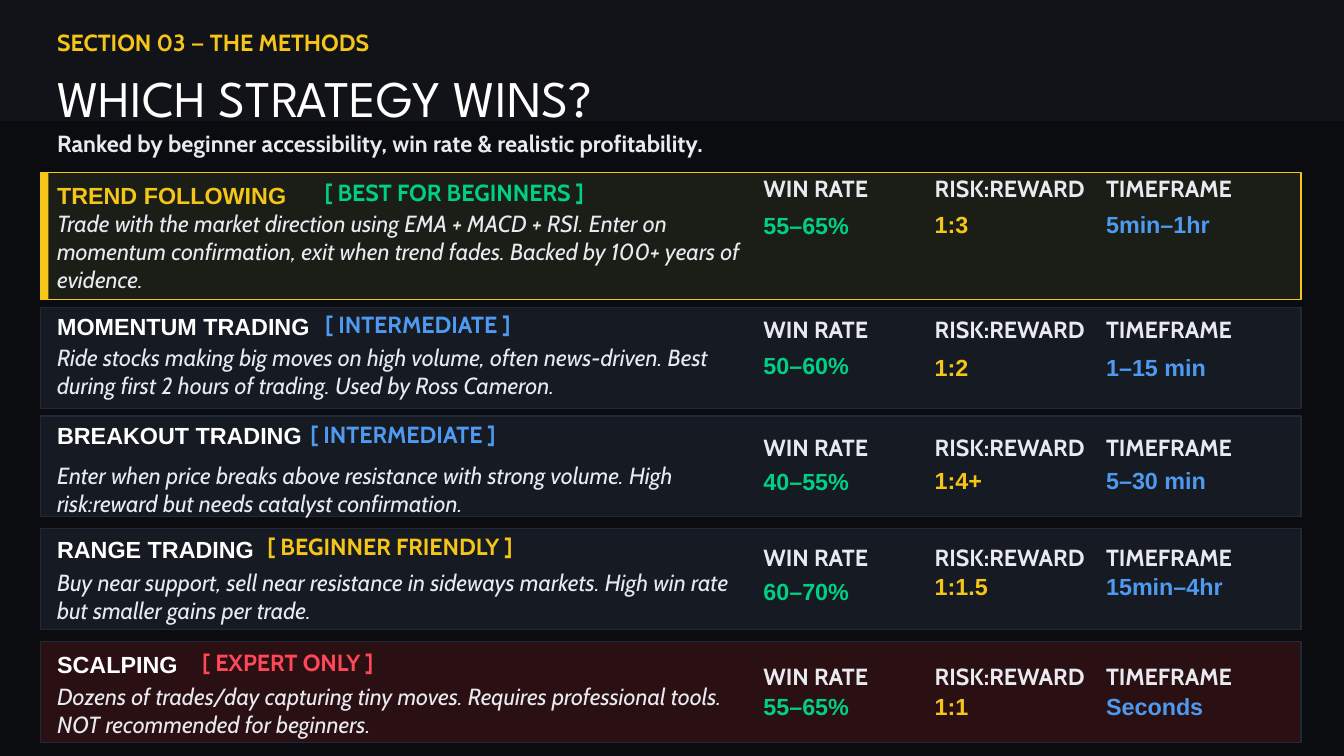
"""Builds the slide that ranks five trading strategies."""
from dataclasses import dataclass

from pptx import Presentation
from pptx.dml.color import RGBColor as Rgb
from pptx.enum.shapes import MSO_SHAPE as Kind
from pptx.enum.text import MSO_ANCHOR as Anchor, MSO_AUTO_SIZE as Fit, PP_ALIGN as Align
from pptx.shapes.autoshape import Shape
from pptx.slide import Slide
from pptx.util import Pt


@dataclass(frozen=True)
class Theme:
    """Colours, fonts and type sizes of the slide."""
    back: str = "0A0C10"
    band: str = "111318"
    card: str = "161A22"
    olive: str = "1A1E16"
    wine: str = "2A1012"
    edge: str = "232838"
    gold: str = "F5C518"
    green: str = "00D084"
    blue: str = "4E9AF1"
    red: str = "FF4757"
    pale: str = "E8EAF0"
    white: str = "FFFFFF"
    sans: str = "Arial"
    text: str = "Cabin"
    head: str = "League Spartan"
    size: float = 25
    big: float = 55
    lead: float = 1.2


T = Theme()


@dataclass(frozen=True)
class Box:
    """A frame in points."""
    x: float
    y: float
    w: float
    h: float


@dataclass(frozen=True)
class Style:
    """The look of one line of text."""
    color: str
    font: str = T.text
    size: float = T.size
    bold: bool = True
    slant: bool = False


@dataclass(frozen=True)
class Plan:
    """One strategy card, with the tops of its text rows."""
    name: str
    tag: str
    hue: str
    note: str
    stats: tuple[str, str, str]
    top: float
    name_y: float
    tag_x: float
    tag_y: float
    note_y: float
    head_y: float
    stat_y: tuple[float, float, float]
    high: float = 108
    fill: str = T.card
    edge: str = T.edge
    ink: str = T.white


LEFT, WIDE = 43.2, 1351
INSET = 61.2
COL, STEP = 817.9, 183.6
HEADS = (("WIN RATE", T.green, 147.6), ("RISK:REWARD", T.gold, 183.6),
         ("TIMEFRAME", T.blue, 147.6))

PLANS = (
    Plan("TREND FOLLOWING", "[ BEST FOR BEGINNERS ]", T.green,
         "Trade with the market direction using EMA + MACD + RSI. Enter on momentum "
         "confirmation, exit when trend fades. Backed by 100+ years of evidence.",
         ("55–65%", "1:3", "5min–1hr"), 185, 194.4, 347.8, 190.8, 224.6, 186.5,
         (226.8, 225.4, 225.4), 136, T.olive, T.gold, T.gold),
    Plan("MOMENTUM TRADING", "[ INTERMEDIATE ]", T.blue,
         "Ride stocks making big moves on high volume, often news-driven. Best during "
         "first 2 hours of trading. Used by Ross Cameron.",
         ("50–60%", "1:2", "1–15 min"), 329.8, 334.8, 348.5, 331.9, 367.9, 337.7,
         (375.8, 378.7, 378.7)),
    Plan("BREAKOUT TRADING", "[ INTERMEDIATE ]", T.blue,
         "Enter when price breaks above resistance with strong volume. High "
         "risk:reward but needs catalyst confirmation.",
         ("40–55%", "1:4+", "5–30 min"), 445.7, 451.4, 332.6, 450, 493.9, 464.4,
         (500.4, 499, 499)),
    Plan("RANGE TRADING", "[ BEGINNER FRIENDLY ]", T.gold,
         "Buy near support, sell near resistance in sideways markets. High win rate "
         "but smaller gains per trade.",
         ("60–70%", "1:1.5", "15min–4hr"), 566.6, 573.1, 286.6, 570.2, 608.4, 581.8,
         (618.5, 612.7, 612.7)),
    Plan("SCALPING", "[ EXPERT ONLY ]", T.red,
         "Dozens of trades/day capturing tiny moves. Requires professional tools. "
         "NOT recommended for beginners.",
         ("55–65%", "1:1", "Seconds"), 687.6, 696.2, 216.7, 694.1, 730.8, 709.2,
         (741.6, 741.6, 741.6), fill=T.wine),
)


def block(slide: Slide, box: Box, fill: str, edge: str = "") -> Shape:
    """Draw a filled rectangle with an optional edge."""
    shape = slide.shapes.add_shape(Kind.RECTANGLE, Pt(box.x), Pt(box.y), Pt(box.w), Pt(box.h))
    shape.shadow.inherit = False
    shape.fill.solid()
    shape.fill.fore_color.rgb = Rgb.from_string(fill)
    if edge:
        shape.line.color.rgb = Rgb.from_string(edge)
        shape.line.width = Pt(1.5)
    else:
        shape.line.fill.background()
    return shape


def write(shape: Shape, text: str, style: Style) -> None:
    """Fill a shape with one styled paragraph."""
    frame = shape.text_frame
    frame.text = text
    frame.word_wrap = True
    frame.auto_size = Fit.SHAPE_TO_FIT_TEXT
    frame.vertical_anchor = Anchor.TOP
    frame.margin_left = frame.margin_top = frame.margin_right = frame.margin_bottom = 0
    para = frame.paragraphs[0]
    para.alignment = Align.LEFT
    para.line_spacing = Pt(style.size * T.lead)
    font = para.runs[0].font
    font.name, font.size = style.font, Pt(style.size)
    font.bold, font.italic = style.bold, style.slant
    font.color.rgb = Rgb.from_string(style.color)


def label(slide: Slide, box: Box, text: str, style: Style) -> None:
    """Add a text box."""
    shape = slide.shapes.add_textbox(Pt(box.x), Pt(box.y), Pt(box.w), Pt(box.h))
    write(shape, text, style)


def header(slide: Slide) -> None:
    """Draw the top band, section name, title and subtitle."""
    band = block(slide, Box(0, 0, 1440, 129.6), T.band)
    title = slide.shapes.title
    band.element.addnext(title.element)
    title.left, title.top, title.width, title.height = Pt(INSET), Pt(71.3), Pt(1282), Pt(66)
    write(title, "WHICH STRATEGY WINS?", Style(T.white, T.head, T.big, False))
    label(slide, Box(INSET, 30.2, 418, 33), "SECTION 03 — THE METHODS", Style(T.gold))
    label(slide, Box(INSET, 138.2, 958, 33),
          "Ranked by beginner accessibility, win rate & realistic profitability.", Style(T.pale))


def card(slide: Slide, plan: Plan) -> None:
    """Draw one strategy with its three figures."""
    block(slide, Box(LEFT, plan.top, WIDE, plan.high), plan.fill, plan.edge)
    if plan.edge == T.gold:
        block(slide, Box(LEFT, plan.top, 8.6, plan.high), T.gold)
    label(slide, Box(INSET, plan.name_y, 688, 30), plan.name, Style(plan.ink, T.sans))
    label(slide, Box(INSET, plan.note_y, 748, 62), plan.note,
          Style(T.pale, bold=False, slant=True))
    label(slide, Box(plan.tag_x, plan.tag_y, 418, 33), plan.tag, Style(plan.hue))
    for col, (head, hue, wide) in enumerate(HEADS):
        x = COL + col * STEP
        label(slide, Box(x, plan.head_y, wide, 33), head, Style(T.pale))
        label(slide, Box(x, plan.stat_y[col], 147.6, 30), plan.stats[col], Style(hue, T.sans))


def main() -> None:
    """Build and save the deck."""
    deck = Presentation()
    deck.slide_width, deck.slide_height = Pt(1440), Pt(810)
    slide = deck.slides.add_slide(deck.slide_layouts[5])
    slide.background.fill.solid()
    slide.background.fill.fore_color.rgb = Rgb.from_string(T.back)
    header(slide)
    for plan in PLANS:
        card(slide, plan)
    deck.save("out.pptx")


if __name__ == "__main__":
    main()
